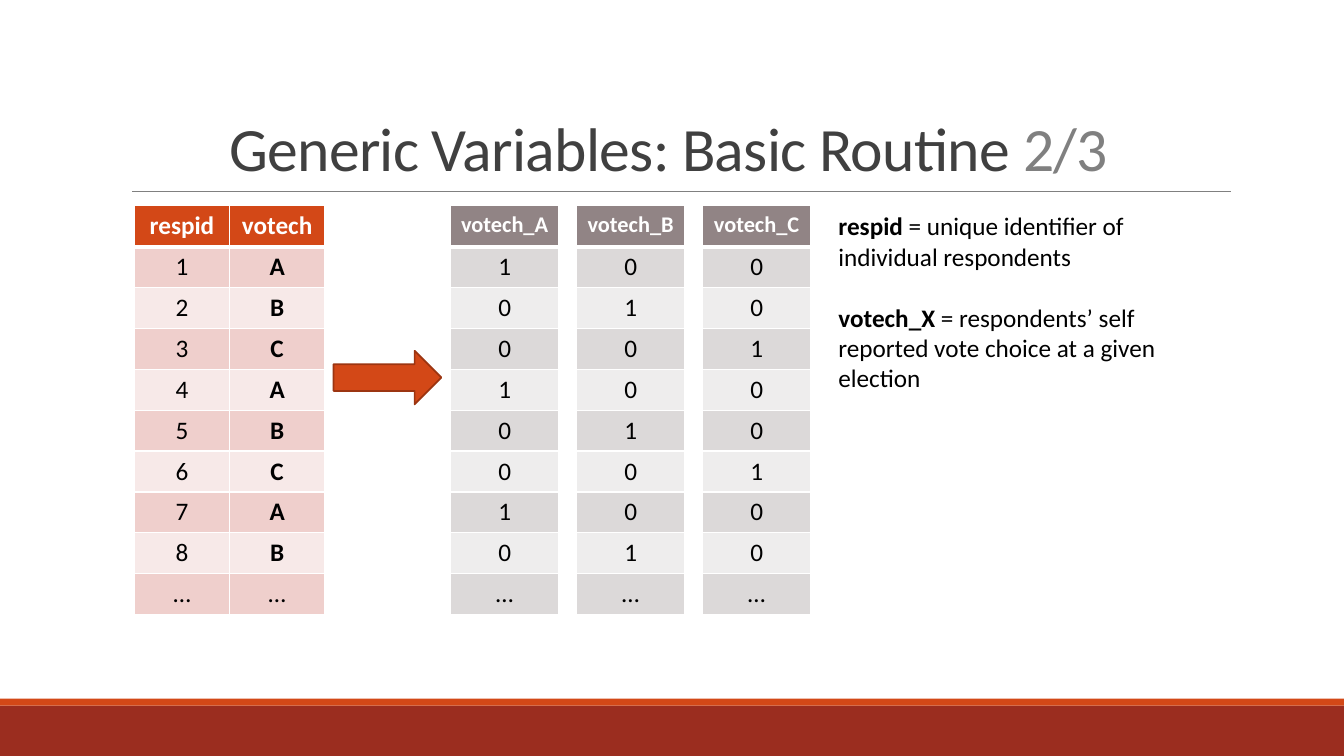
from dataclasses import dataclass

from lxml import etree
from pptx import Presentation
from pptx.dml.color import RGBColor
from pptx.enum.shapes import MSO_CONNECTOR, MSO_SHAPE
from pptx.enum.text import MSO_ANCHOR, MSO_AUTO_SIZE, PP_ALIGN
from pptx.oxml.ns import qn
from pptx.util import Pt

CENTER = PP_ALIGN.CENTER
BOTTOM = MSO_ANCHOR.BOTTOM
NO_AUTOFIT = MSO_AUTO_SIZE.NONE
RECTANGLE = MSO_SHAPE.RECTANGLE
RIGHT_ARROW = MSO_SHAPE.RIGHT_ARROW
STRAIGHT = MSO_CONNECTOR.STRAIGHT
TITLE_ONLY = 5


@dataclass(frozen=True)
class Theme:
    font: str = "Calibri"
    title_size: int = 44
    body_size: int = 18
    dummy_head_size: int = 16
    title: str = "404040"
    muted: str = "808080"
    text: str = "000000"
    white: str = "FFFFFF"
    accent: str = "D34817"
    accent_dark: str = "9C3511"
    footer: str = "9B2D1F"
    # Table palettes: header, odd rows, even rows
    source_fills: tuple = ("D34817", "EFCFCC", "F7E9E8")
    dummy_fills: tuple = ("918485", "DCD9D9", "EEEDED")


THEME = Theme()
ELLIPSIS = "…"
PARTIES = "ABC"
CHOICES = "ABCABCAB"
ROW_HEIGHT = 29.2


def rgb(code):
    return RGBColor.from_string(code)


def set_font(font, size, color, bold=False):
    font.name = THEME.font
    font.size = Pt(size)
    font.bold = bold
    font.color.rgb = rgb(color)


def add_filled(slide, preset, box, fill):
    shape = slide.shapes.add_shape(preset, *map(Pt, box))
    shape.shadow.inherit = False
    shape.fill.solid()
    shape.fill.fore_color.rgb = rgb(fill)
    shape.line.fill.background()
    return shape


def add_footer(slide, box):
    left, top, width, height = box
    stripe = 5
    add_filled(slide, RECTANGLE, (left, top + stripe, width, height - stripe), THEME.footer)
    add_filled(slide, RECTANGLE, (left, top, width, stripe), THEME.accent)


def add_title(slide, box, text, counter):
    title = slide.shapes.title
    left, top, width, height = box
    title.left, title.top, title.width, title.height = map(Pt, box)
    frame = title.text_frame
    frame.word_wrap = True
    frame.auto_size = NO_AUTOFIT
    frame.vertical_anchor = BOTTOM
    paragraph = frame.paragraphs[0]
    paragraph.alignment = CENTER
    paragraph.line_spacing = 0.85
    for words, color in ((text, THEME.title), (counter, THEME.muted)):
        run = paragraph.add_run()
        run.text = words
        set_font(run.font, THEME.title_size, color)
        run.font._element.set("spc", "-50")

    # Rule under the title
    rule_y = top + height + 1.5
    rule = slide.shapes.add_connector(
        STRAIGHT, Pt(left + 8), Pt(rule_y), Pt(left + width + 1), Pt(rule_y))
    rule.line.color.rgb = rgb(THEME.muted)
    rule.line.width = Pt(0.5)
    etree.SubElement(rule._element.spPr, qn("a:effectLst"))


def set_borders(cell, top, bottom):
    properties = cell._tc.get_or_add_tcPr()
    widths = {"a:lnL": 1, "a:lnR": 1, "a:lnT": top, "a:lnB": bottom}
    for position, (tag, width) in enumerate(widths.items()):
        border = etree.Element(qn(tag), w=str(Pt(width)))
        fill = etree.SubElement(border, qn("a:solidFill"))
        etree.SubElement(fill, qn("a:srgbClr"), val=THEME.white)
        properties.insert(position, border)


def add_data_table(slide, box, rows, fills, head_size):
    header_fill, *bands = fills
    table = slide.shapes.add_table(len(rows), len(rows[0]), *map(Pt, box)).table
    for r, values in enumerate(rows):
        table.rows[r].height = Pt(box[3] / len(rows))
        for c, value in enumerate(values):
            cell = table.cell(r, c)
            cell.text = str(value)
            cell.fill.solid()
            cell.fill.fore_color.rgb = rgb(bands[(r - 1) % 2] if r else header_fill)
            set_borders(cell, 3 if r == 1 else 1, 1 if r else 3)
            paragraph = cell.text_frame.paragraphs[0]
            paragraph.alignment = CENTER
            if r:
                set_font(paragraph.font, THEME.body_size, THEME.text, value in list(PARTIES))
            else:
                set_font(paragraph.font, head_size, THEME.white, True)


def add_routine(slide, box):
    left, top, _, height = box
    # Respondents and their vote choice
    source = [("respid", "votech"), *enumerate(CHOICES, 1), (ELLIPSIS, ELLIPSIS)]
    add_data_table(slide, (left, top, 136, height), source,
                   THEME.source_fills, THEME.body_size)

    # Arrow from the source variable to its dummies
    arrow = add_filled(slide, RIGHT_ARROW, (left + 142.3, top + 103.6, 77, 38.2), THEME.accent)
    arrow.line.color.rgb = rgb(THEME.accent_dark)
    arrow.line.width = Pt(1.25)

    # One dummy variable per party
    for i, party in enumerate(PARTIES):
        dummy = [(f"votech_{party}",), *((int(choice == party),) for choice in CHOICES),
                 (ELLIPSIS,)]
        add_data_table(slide, (left + 226 + 90 * i, top, 77, height), dummy,
                       THEME.dummy_fills, THEME.dummy_head_size)


def add_definitions(slide, box, definitions):
    frame = slide.shapes.add_textbox(*map(Pt, box)).text_frame
    frame.word_wrap = True
    frame.margin_right = Pt(14)
    for i, (term, meaning) in enumerate(definitions):
        paragraph = frame.add_paragraph() if i else frame.paragraphs[0]
        paragraph.space_before = Pt(22 if i else 0)
        set_font(paragraph.font, THEME.body_size, THEME.text)
        term_run = paragraph.add_run()
        term_run.text = term
        term_run.font.bold = True
        paragraph.add_run().text = f" = {meaning}"


def build_slide(deck):
    slide = deck.slides.add_slide(deck.slide_layouts[TITLE_ONLY])
    add_footer(slide, (0, 499, 960, 41))
    add_title(slide, (86.4, 20.9, 792, 114.5), "Generic Variables: Basic Routine ", "2/3 ")
    add_routine(slide, (96, 147, 483, ROW_HEIGHT * (len(CHOICES) + 2)))
    add_definitions(slide, (591.8, 147, 286.6, 138), [
        ("respid", "unique identifier of individual respondents"),
        ("votech_X", "respondents’ self reported vote choice at a given election"),
    ])


deck = Presentation()
deck.slide_width, deck.slide_height = Pt(960), Pt(540)
build_slide(deck)
deck.save("out.pptx")
